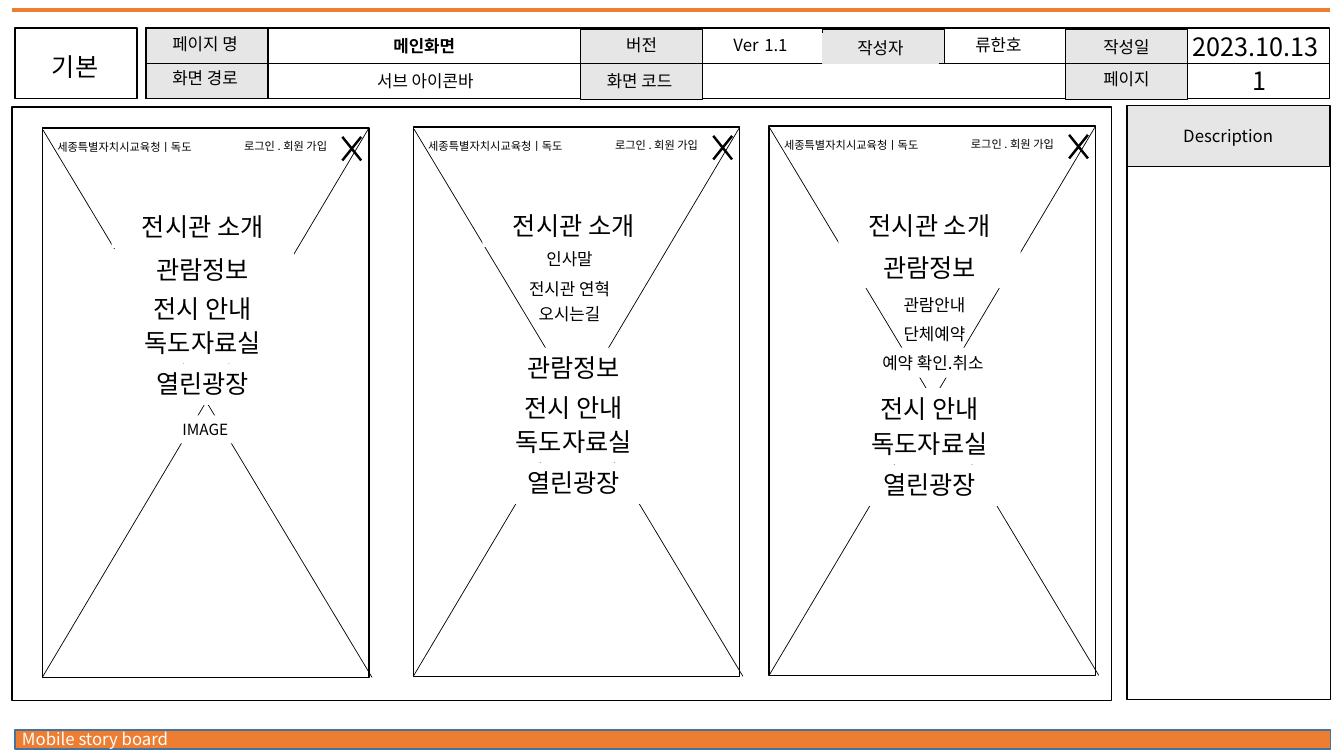
from dataclasses import dataclass
from typing import Optional

import lxml.etree
import pptx
import pptx.dml.color
import pptx.enum.shapes
import pptx.enum.text
import pptx.oxml.ns
import pptx.util

Pt = pptx.util.Pt
Color = pptx.dml.color.RGBColor
Shape = pptx.enum.shapes.MSO_SHAPE
Align = pptx.enum.text.PP_ALIGN
qn = pptx.oxml.ns.qn


@dataclass(frozen=True)
class Theme:
    font: str = "Noto Sans CJK KR"
    ink: Color = Color(0, 0, 0)
    paper: Color = Color(255, 255, 255)
    grey: Color = Color(0xE7, 0xE6, 0xE6)
    orange: Color = Color(0xED, 0x7D, 0x31)
    blue: Color = Color(0x43, 0x73, 0x9E)
    large: float = 18
    body: float = 12
    note: float = 11
    small: float = 8


THEME = Theme()


@dataclass(frozen=True)
class Box:
    left: float
    top: float
    width: float
    height: float
    fill: Optional[Color] = None
    line: Optional[Color] = THEME.ink
    weight: float = 1


@dataclass(frozen=True)
class Label:
    text: str
    left: float
    top: float
    width: float
    size: float = THEME.body
    align: Align = Align.CENTER
    color: Color = THEME.ink
    fill: Optional[Color] = None
    line: Optional[Color] = None
    bold: bool = False
    wrap: bool = True


@dataclass(frozen=True)
class Phone:
    left: float
    top: float
    menu_tops: tuple[float, ...]
    submenu: tuple[Label, ...] = ()
    caption: Optional[Label] = None


PHONE_WIDTH, PHONE_HEIGHT = 233.28, 392.4
MENU = ("전시관 소개", "관람정보", "전시 안내", "독도자료실", "열린광장")

FRAMES = (
    Box(10.8, 20.16, 87.12, 50.4),
    Box(8.64, 76.32, 785.52, 424.08),
    Box(104.4, 20.16, 87.12, 50.4, THEME.grey),
    Box(414.72, 20.88, 87.12, 50.4, THEME.grey),
    Box(587.52, 20.88, 87.12, 24.48, THEME.grey),
    Box(761.04, 20.88, 87.12, 50.4, THEME.grey),
)
HEADER = Box(104.4, 20.16, 845.28, 50.4)
HEADER_LABELS = (
    Label("기본", 12.24, 33.12, 82.8, THEME.large),
    Label("페이지 명", 105.12, 20.88, 82.8),
    Label("화면 경로", 105.12, 44.64, 82.8),
    Label("버전", 416.88, 21.6, 82.8),
    Label("화면 코드", 415.44, 46.8, 82.8),
    Label("작성자", 587.52, 23.76, 82.8, line=THEME.grey),
    Label("작성일", 763.2, 23.04, 82.8),
    Label("페이지", 763.2, 45.36, 82.8),
    Label("류한호", 640.8, 21.6, 144.72),
    Label("2023.10.13", 824.4, 18.72, 144.72, THEME.large),
    Label("메인화면", 220.32, 22.32, 165.6, bold=True),
    Label("서브 아이콘바", 221.04, 46.8, 165.6),
    Label("1", 849.6, 43.2, 100.08, THEME.large),
)
VERSION = Label("Ver", 470.88, 15.12, 144.72)
DESCRIPTION = (
    Box(804.96, 75.6, 145.44, 424.08),
    Box(804.96, 75.6, 144.72, 43.2, THEME.grey),
)
PHONES = (
    Phone(30.24, 91.44, (147.6, 177.84, 205.92, 230.4, 259.92),
          caption=Label("IMAGE", 123.12, 296.64, 48.96, THEME.note, Align.LEFT,
                        fill=THEME.paper, wrap=False)),
    Phone(295.2, 90.72, (146.88, 248.4, 276.48, 300.96, 330.48), (
        Label("인사말", 362.88, 174.24, 87.84),
        Label("전시관 연혁", 362.88, 195.84, 87.84),
        Label("오시는길", 362.88, 213.12, 87.84))),
    Phone(549.36, 90, (146.88, 176.4, 277.2, 302.4, 331.92), (
        Label("관람안내", 623.52, 206.64, 87.84),
        Label("단체예약", 623.52, 227.52, 87.84),
        Label("예약 확인.취소", 614.16, 248.4, 104.4, fill=THEME.paper))),
)


def paint(shape, fill: Optional[Color], line: Optional[Color], weight: float) -> None:
    if fill is None:
        shape.fill.background()
    else:
        shape.fill.solid()
        shape.fill.fore_color.rgb = fill
    if line is None:
        shape.line.fill.background()
    else:
        shape.line.color.rgb = line
        shape.line.width = Pt(weight)


def draw_box(page, box: Box, preset: Shape = Shape.RECTANGLE):
    shape = page.shapes.add_shape(
        preset, Pt(box.left), Pt(box.top), Pt(box.width), Pt(box.height))
    shape.shadow.inherit = False
    paint(shape, box.fill, box.line, box.weight)
    return shape


def draw_line(page, start: tuple[float, float], end: tuple[float, float],
              color: Color = THEME.ink, weight: float = 0.5):
    line = page.shapes.add_connector(
        pptx.enum.shapes.MSO_CONNECTOR.STRAIGHT, *map(Pt, start + end))
    line.line.color.rgb = color
    line.line.width = Pt(weight)
    lxml.etree.SubElement(line._element.spPr, qn("a:effectLst"))
    return line


def draw_label(page, label: Label):
    height = round(label.size * 1.34 + 5.3, 2)
    box = page.shapes.add_textbox(
        Pt(label.left), Pt(label.top), Pt(label.width), Pt(height))
    paint(box, label.fill, label.line, 0.75)
    frame = box.text_frame
    frame.word_wrap = label.wrap
    frame.auto_size = pptx.enum.text.MSO_AUTO_SIZE.SHAPE_TO_FIT_TEXT
    para = frame.paragraphs[0]
    para.text = label.text
    para.alignment = label.align
    font = para.font
    font.name = THEME.font
    font.size = Pt(label.size)
    font.bold = label.bold
    font.color.rgb = label.color
    east_asian = lxml.etree.SubElement(font._element, qn("a:ea"))
    east_asian.set("typeface", THEME.font)
    return para


def draw_header(page) -> None:
    header = draw_box(page, HEADER)
    for box in FRAMES:
        draw_box(page, box)
    middle = HEADER.top + HEADER.height / 2
    divider = draw_line(page, (HEADER.left, middle), (HEADER.left + HEADER.width, middle))
    divider.begin_connect(header, 1)
    divider.end_connect(header, 3)
    for label in HEADER_LABELS:
        draw_label(page, label)
    version = draw_label(page, VERSION)
    for text, size in ((" ", THEME.large), ("1.1", THEME.body)):
        span = version.add_run()
        span.text = text
        span.font.size = Pt(size)


def draw_phone(page, phone: Phone) -> None:
    left, top = phone.left, phone.top
    right, bottom = left + PHONE_WIDTH, top + PHONE_HEIGHT
    draw_box(page, Box(left, top, PHONE_WIDTH, PHONE_HEIGHT))
    draw_label(page, Label("세종특별자치시교육청ㅣ독도", left + 3.6, top + 5, 134.64,
                           THEME.small, Align.LEFT))
    draw_label(page, Label("로그인 . 회원 가입 ", left + 123.12, top + 4.5, 89.28,
                           THEME.small, Align.RIGHT))
    draw_line(page, (left, bottom), (right, top))
    draw_line(page, (right + 2.2, bottom), (left + 0.5, top + 1.4))
    if phone.caption:
        draw_label(page, phone.caption)
    for text, menu_top in zip(MENU, phone.menu_tops):
        draw_label(page, Label(text, left + 49.4, menu_top, 130.32, THEME.large,
                               fill=THEME.paper))
    close = draw_box(page, Box(left + 208.1, top - 1.44, 25.92, 32.4, THEME.ink, None),
                     Shape.MATH_MULTIPLY)
    close.adjustments[0] = 0.068
    for label in phone.submenu:
        draw_label(page, label)


def main() -> None:
    deck = pptx.Presentation()
    deck.slide_width, deck.slide_height = Pt(960), Pt(540)
    page = deck.slides.add_slide(deck.slide_layouts[6])
    draw_line(page, (8.64, 7.2), (949.68, 7.2), THEME.orange, 3)
    draw_box(page, Box(10.8, 521.28, 939.6, 13.68, THEME.orange, THEME.blue))
    draw_label(page, Label("Mobile story board", 8.64, 516.96, 230.4,
                           align=Align.LEFT, color=THEME.paper))
    draw_header(page)
    for box in DESCRIPTION:
        draw_box(page, box)
    draw_label(page, Label("Description", 815.04, 86.4, 124.56))
    for phone in PHONES:
        draw_phone(page, phone)
    deck.save("out.pptx")


if __name__ == "__main__":
    main()
